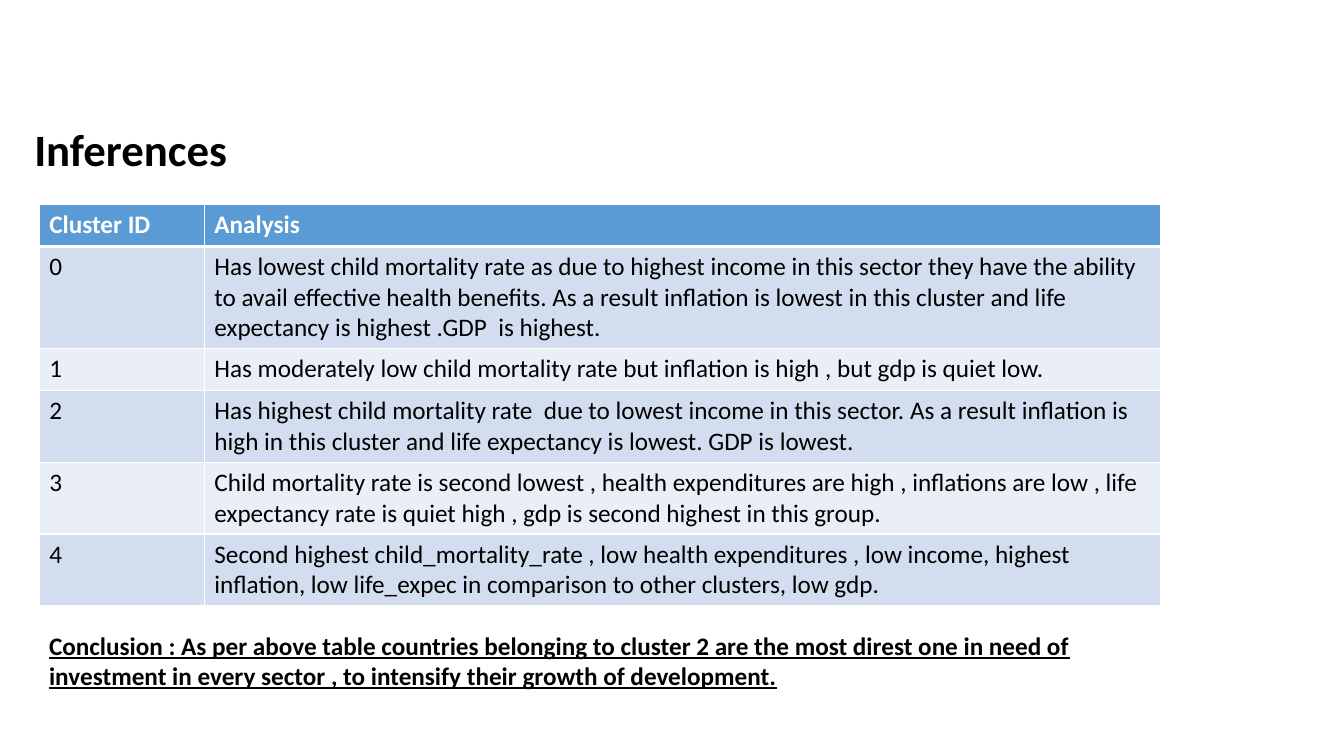
from dataclasses import dataclass

from lxml.etree import SubElement
from pptx import Presentation
from pptx.dml.color import RGBColor
from pptx.enum.text import MSO_ANCHOR, MSO_AUTO_SIZE, PP_ALIGN
from pptx.oxml.ns import qn
from pptx.slide import Slide
from pptx.table import _Cell
from pptx.text.text import TextFrame
from pptx.util import Pt

WHITE = RGBColor(0xFF, 0xFF, 0xFF)
BLACK = RGBColor(0x00, 0x00, 0x00)
BLUE = RGBColor(0x5B, 0x9B, 0xD5)
BANDS = (RGBColor(0xEA, 0xEF, 0xF7), RGBColor(0xD2, 0xDE, 0xEF))
FONT = "Calibri"
LEFT = 28
COLS = (118, 683)
ROW = 30


@dataclass(frozen=True)
class Style:
    size: int
    color: RGBColor
    bold: bool = False
    line: bool = False


@dataclass(frozen=True)
class Group:
    label: str
    text: str


TITLE = Style(32, BLACK, bold=True)
HEAD = Style(18, WHITE, bold=True)
BODY = Style(18, BLACK)
CLOSE = Style(18, BLACK, bold=True, line=True)

GROUPS = (
    Group("Cluster ID", "Analysis"),
    Group("0", "Has lowest child mortality rate as due to highest income in this sector "
          "they have the ability to avail effective health benefits. As a result inflation "
          "is lowest in this cluster and life expectancy is highest .GDP  is highest."),
    Group("1", "Has moderately low child mortality rate but inflation is high , "
          "but gdp is quiet low."),
    Group("2", "Has highest child mortality rate  due to lowest income in this sector. "
          "As a result inflation is high in this cluster and life expectancy is lowest. "
          "GDP is lowest."),
    Group("3", "Child mortality rate is second lowest , health expenditures are high , "
          "inflations are low , life expectancy rate is quiet high , gdp is second highest "
          "in this group."),
    Group("4", "Second highest child_mortality_rate , low health expenditures , low income, "
          "highest inflation, low life_expec in comparison to other clusters, low gdp."),
)
CLOSING = (
    "Conclusion : As per above table countries belonging to cluster 2 are the most direst "
    "one in need of investment in every sector , to intensify their growth of development."
)


def write(frame: TextFrame, text: str, style: Style) -> None:
    para = frame.paragraphs[0]
    para.alignment = PP_ALIGN.LEFT
    run = para.add_run()
    run.text = text
    font = run.font
    font.name = FONT
    font.size = Pt(style.size)
    font.bold = style.bold
    font.underline = style.line
    font.color.rgb = style.color


def edge(cell: _Cell, side: str, width: int) -> None:
    props = cell._tc.get_or_add_tcPr()
    line = SubElement(props, qn(f"a:ln{side}"), w=str(Pt(width)))
    fill = SubElement(line, qn("a:solidFill"))
    SubElement(fill, qn("a:srgbClr"), val=str(WHITE))


def add_title(slide: Slide) -> None:
    title = slide.shapes.title
    title.left, title.top = Pt(17.3), Pt(83.5)
    title.width, title.height = Pt(830), Pt(46)
    frame = title.text_frame
    frame.auto_size = MSO_AUTO_SIZE.NONE
    frame.vertical_anchor = MSO_ANCHOR.TOP
    write(frame, "Inferences", TITLE)


def add_grid(slide: Slide) -> None:
    table = slide.shapes.add_table(
        len(GROUPS), len(COLS), Pt(LEFT), Pt(146), Pt(sum(COLS)), Pt(ROW * len(GROUPS))
    ).table
    for col, width in zip(table.columns, COLS):
        col.width = Pt(width)
    for row, group in enumerate(GROUPS):
        table.rows[row].height = Pt(ROW)
        for col, text in enumerate((group.label, group.text)):
            cell = table.cell(row, col)
            for side in "LRTB":
                thick = (row == 0 and side == "B") or (row == 1 and side == "T")
                edge(cell, side, 3 if thick else 1)
            cell.fill.solid()
            cell.fill.fore_color.rgb = BANDS[row % 2] if row else BLUE
            write(cell.text_frame, text, BODY if row else HEAD)


def add_close(slide: Slide) -> None:
    box = slide.shapes.add_textbox(Pt(LEFT), Pt(446.4), Pt(825), Pt(51))
    box.text_frame.word_wrap = True
    write(box.text_frame, CLOSING, CLOSE)


def main() -> None:
    deck = Presentation()
    deck.slide_width, deck.slide_height = Pt(960), Pt(540)
    slide = deck.slides.add_slide(deck.slide_layouts[5])
    add_title(slide)
    add_grid(slide)
    add_close(slide)
    deck.save("out.pptx")


if __name__ == "__main__":
    main()
